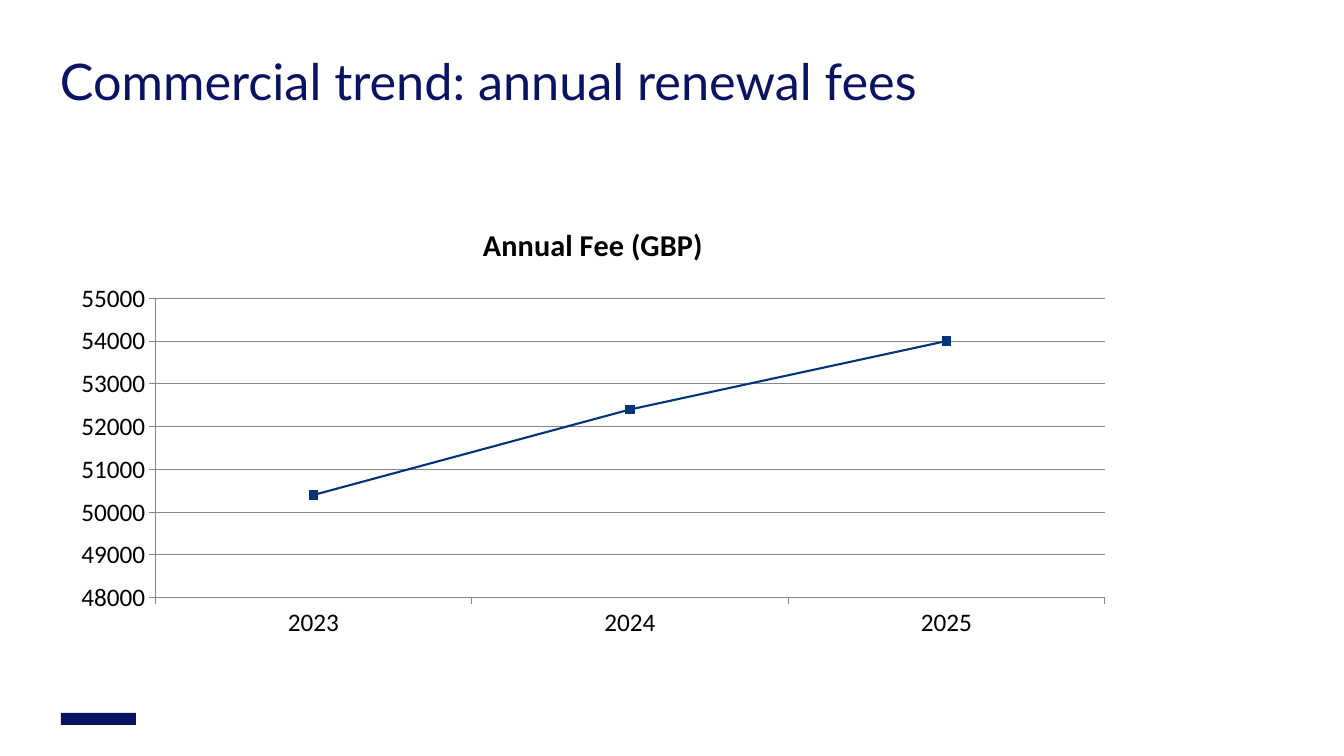
from pptx import Presentation
from pptx.chart.data import CategoryChartData
from pptx.dml.color import RGBColor
from pptx.enum.chart import XL_CHART_TYPE as ChartType, XL_MARKER_STYLE as Marker, XL_TICK_MARK as Tick
from pptx.enum.shapes import MSO_SHAPE as Preset
from pptx.util import Emu, Pt

EMU_PER_PX = 914400 / 100.8

NAVY = RGBColor(0x0A, 0x12, 0x64)
BLUE = RGBColor(0x00, 0x35, 0x7A)
BLACK = RGBColor(0x00, 0x00, 0x00)
GRAY = RGBColor(0x87, 0x87, 0x87)


def px(*lengths):
    return [Emu(round(length * EMU_PER_PX)) for length in lengths]


class SlideBuilder:
    title_font = "Lato"
    chart_font = "Calibri"

    def __init__(self, slide):
        self.slide = slide

    def block(self, box, color):
        shape = self.slide.shapes.add_shape(Preset.RECTANGLE, *px(*box))
        shape.shadow.inherit = False
        shape.fill.solid()
        shape.fill.fore_color.rgb = color
        shape.line.fill.background()

    def style_font(self, font, name, size, color, bold=False):
        font.name = name
        font.size = Pt(size)
        font.bold = bold
        font.color.rgb = color

    def heading(self, box, text, size):
        frame = self.slide.shapes.add_textbox(*px(*box)).text_frame
        frame.word_wrap = True
        frame.margin_left = frame.margin_top = 0
        frame.margin_right = frame.margin_bottom = 0
        paragraph = frame.paragraphs[0]
        paragraph.text = text
        paragraph.line_spacing = Pt(size)
        self.style_font(paragraph.font, self.title_font, size, NAVY)

    def line_chart(self, box, name, values):
        data = CategoryChartData()
        data.categories = list(values)
        data.add_series(name, list(values.values()))
        chart = self.slide.shapes.add_chart(ChartType.LINE_MARKERS, *px(*box), data).chart
        chart.has_legend = False
        self.style_font(chart.font, self.chart_font, 18, BLACK)

        # Chart title
        chart.has_title = True
        chart.chart_title.include_in_layout = False
        paragraph = chart.chart_title.text_frame.paragraphs[0]
        paragraph.text = name
        self.style_font(paragraph.font, self.chart_font, 21.6, BLACK, bold=True)

        # Axes and gridlines
        for axis in (chart.category_axis, chart.value_axis):
            axis.major_tick_mark = Tick.OUTSIDE
            axis.minor_tick_mark = Tick.NONE
            axis.format.line.color.rgb = GRAY
        value_axis = chart.value_axis
        value_axis.minimum_scale, value_axis.maximum_scale = 48000, 55000
        value_axis.major_unit = 1000
        value_axis.has_major_gridlines = True
        value_axis.major_gridlines.format.line.color.rgb = GRAY

        # Series
        plot = chart.plots[0]
        plot.vary_by_categories = False
        series = plot.series[0]
        series.smooth = False
        series.format.line.color.rgb = BLUE
        series.format.line.width = Pt(1.5)
        series.marker.style = Marker.SQUARE
        series.marker.size = 6
        series.marker.format.fill.solid()
        series.marker.format.fill.fore_color.rgb = BLUE
        series.marker.format.line.color.rgb = BLUE


def main():
    presentation = Presentation()
    presentation.slide_width, presentation.slide_height = px(1344, 756)
    builder = SlideBuilder(presentation.slides.add_slide(presentation.slide_layouts[6]))

    # Footer mark
    builder.block((61, 713, 75, 12), NAVY)

    # Title and fee trend
    builder.heading((60, 60, 1223, 48), "Commercial trend: annual renewal fees", 36)
    fees = {"2023": 50400, "2024": 52400, "2025": 54000}
    builder.line_chart((60, 204, 1066, 443), "Annual Fee (GBP)", fees)

    presentation.save("out.pptx")


if __name__ == "__main__":
    main()
